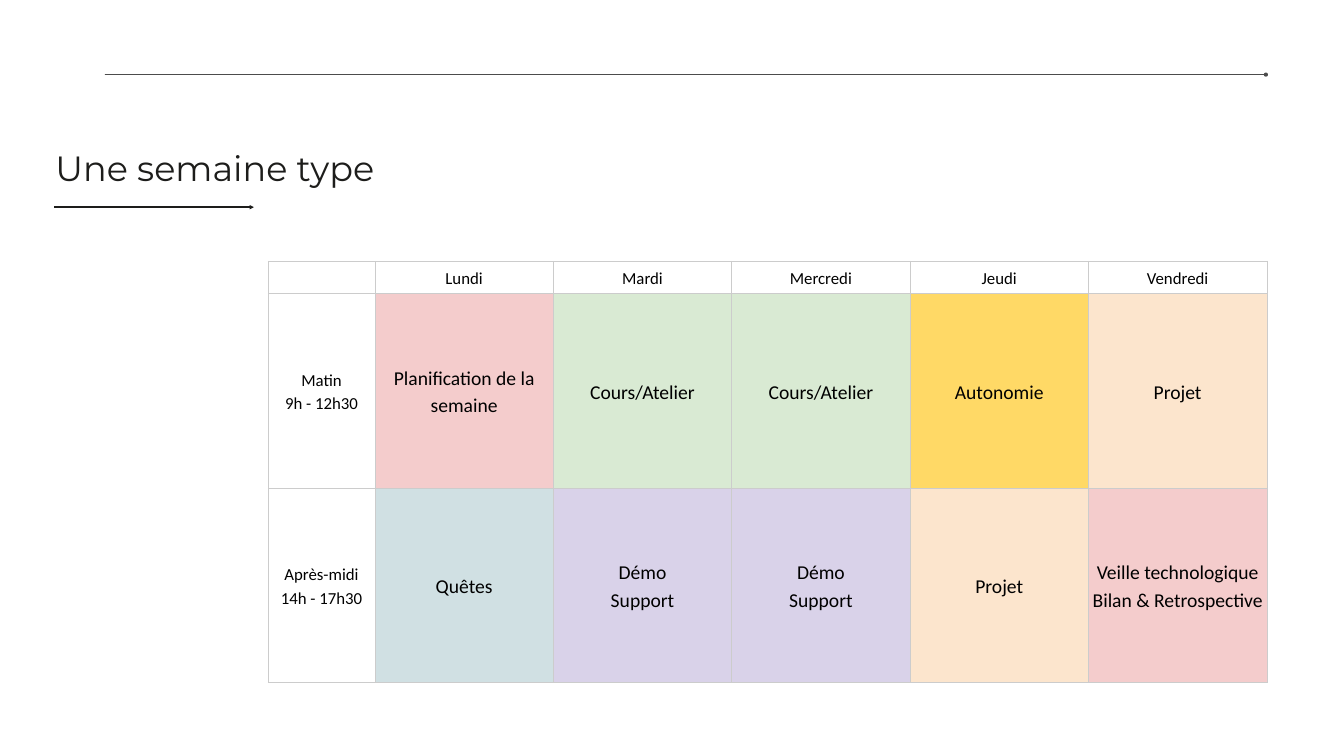
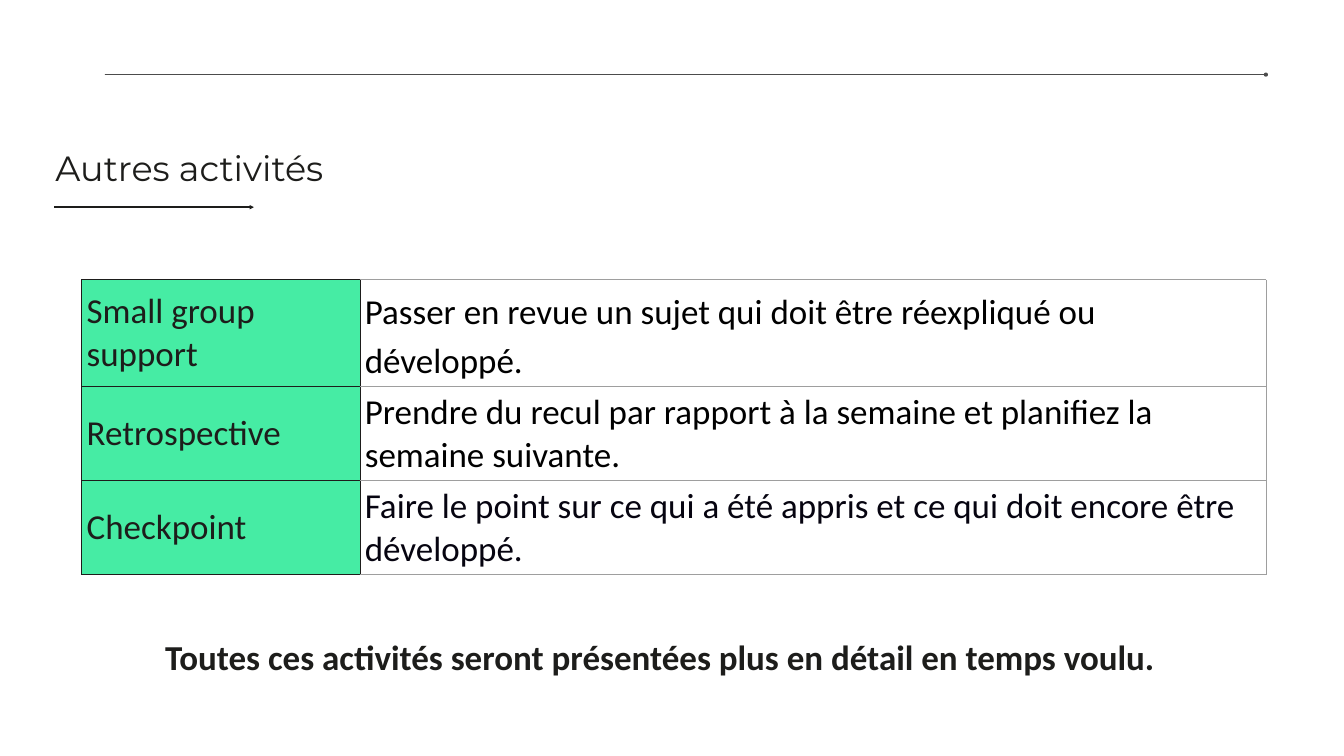
from lxml.etree import SubElement
from pptx import Presentation
from pptx.dml.color import RGBColor
from pptx.enum.shapes import MSO_CONNECTOR
from pptx.enum.text import MSO_ANCHOR as Anchor, MSO_AUTO_SIZE as Fit, PP_ALIGN as Align
from pptx.oxml import parse_xml
from pptx.oxml.ns import nsdecls, qn
from pptx.util import Inches, Pt

INK = RGBColor(0x1D, 0x1D, 0x1B)
BLACK = RGBColor(0, 0, 0)
NIGHT = RGBColor(0x06, 0x04, 0x10)
WHITE = RGBColor(255, 255, 255)
GREEN = RGBColor(0x46, 0xEC, 0xA4)
SILVER = RGBColor(0xCC, 0xCC, 0xCC)
GRAY = RGBColor(0x9E, 0x9E, 0x9E)
PINK = RGBColor(0xF4, 0xCC, 0xCC)
MINT = RGBColor(0xD9, 0xEA, 0xD3)
GOLD = RGBColor(0xFF, 0xD9, 0x66)
PEACH = RGBColor(0xFC, 0xE5, 0xCD)
TEAL = RGBColor(0xD0, 0xE0, 0xE3)
LILAC = RGBColor(0xD9, 0xD2, 0xE9)

HEAD, BODY = "Montserrat", "Calibri"
RIGHT = 25.12

DAYS = ["Lundi", "Mardi", "Mercredi", "Jeudi", "Vendredi"]
WEEK = [
    ("Matin\n9h - 12h30", [
        ("Planification de la semaine", PINK), ("Cours/Atelier", MINT),
        ("Cours/Atelier", MINT), ("Autonomie", GOLD), ("Projet", PEACH)]),
    ("Après-midi\n14h - 17h30", [
        ("Quêtes", TEAL), ("Démo\nSupport", LILAC), ("Démo\nSupport", LILAC),
        ("Projet", PEACH), ("Veille technologique\nBilan & Retrospective", PINK)]),
]
TASKS = [
    ("Small group support",
     "Passer en revue un sujet qui doit être réexpliqué ou développé.", BLACK, 1.15),
    ("Retrospective",
     "Prendre du recul par rapport à la semaine et planifiez la semaine suivante.", BLACK, None),
    ("Checkpoint",
     "Faire le point sur ce qui a été appris et ce qui doit encore être développé.", NIGHT, None),
]


def write(frame, text, size, color, font=BODY, bold=False, align=None, space=None):
    """Fill a text frame, one paragraph for each line of text."""
    frame.text = text
    for para in frame.paragraphs:
        para.alignment = align
        para.line_spacing = space
        para.font.size = Pt(size)
        para.font.name = font
        para.font.bold = bold
        para.font.color.rgb = color


def add_text(slide, box, text, pad, anchor=Anchor.TOP, **style):
    frame = slide.shapes.add_textbox(*map(Inches, box)).text_frame
    frame.word_wrap = True
    frame.auto_size = Fit.SHAPE_TO_FIT_TEXT
    frame.vertical_anchor = anchor
    frame.margin_left = frame.margin_right = Inches(pad)
    frame.margin_top = frame.margin_bottom = Inches(pad)
    write(frame, text, **style)


def add_rule(slide, left, right, top, color, width, tip, alpha=None):
    """Draw a level line with a tip at its right end."""
    rule = slide.shapes.add_connector(
        MSO_CONNECTOR.STRAIGHT, Inches(left), Inches(top), Inches(right), Inches(top))
    rule.line.color.rgb = color
    rule.line.width = Pt(width)
    line = rule.line._get_or_add_ln()
    if alpha:
        tint = line.find(".//" + qn("a:srgbClr"))
        SubElement(tint, qn("a:alpha")).set("val", str(alpha * 1000))
    SubElement(line, qn("a:tailEnd")).set("type", tip)
    SubElement(rule._element.spPr, qn("a:effectLst"))


def add_frame(slide, title, width):
    """Place the title and the two rules that every slide has."""
    add_rule(slide, 1.08, 5.04, 4.11, INK, 2, "triangle")
    add_text(slide, (1.04, 2.85, width, 0.95), title, 0.06, Anchor.MIDDLE,
             size=50, color=INK, font=HEAD)
    add_rule(slide, 2.08, RIGHT, 1.48, BLACK, 1, "oval", 70)


def add_grid(slide, left, top, cols, rows):
    shape = slide.shapes.add_table(len(rows), len(cols), Inches(left), Inches(top),
                                   Inches(sum(cols)), Inches(sum(rows)))
    grid = shape.table
    grid.first_row = grid.horz_banding = False
    for col, width in zip(grid.columns, cols):
        col.width = Inches(width)
    for row, height in zip(grid.rows, rows):
        row.height = Inches(height)
    return grid


def set_cell(cell, text, fill, edges, pad, **style):
    """Style a cell; edges holds the left, right, top and bottom colours."""
    cell.vertical_anchor = Anchor.MIDDLE
    cell.margin_left = cell.margin_right = Inches(pad[0])
    cell.margin_top = cell.margin_bottom = Inches(pad[1])
    if fill is None:
        cell.fill.background()
    else:
        cell.fill.solid()
        cell.fill.fore_color.rgb = fill
    props = cell._tc.get_or_add_tcPr()
    for spot, (side, color) in enumerate(zip("LRTB", edges)):
        props.insert(spot, parse_xml(
            f'<a:ln{side} {nsdecls("a")} w="{Pt(0.75)}"><a:solidFill>'
            f'<a:srgbClr val="{color}"/></a:solidFill></a:ln{side}>'))
    write(cell.text_frame, text, **style)


def week_slide(slide):
    add_frame(slide, "Une semaine type", 11.18)
    grid = add_grid(slide, 5.32, 5.18, [2.12] + [3.54] * 5, [0.64, 3.86, 3.86])
    table = [[(day, None) for day in [""] + DAYS]]
    table += [[(time, None)] + plan for time, plan in WEEK]
    for y, row in enumerate(table):
        for x, (text, fill) in enumerate(row):
            set_cell(grid.cell(y, x), text, fill, [SILVER] * 4, (0.03, 0.02),
                     size=28 if fill else 24, color=BLACK, align=Align.CENTER, space=1.15)


def task_slide(slide):
    add_frame(slide, "Autres activités", 7.81)
    grid = add_grid(slide, 1.62, 5.55, [5.52, 17.98], [1.45, 1.52, 1.45])
    for y, (name, text, color, space) in enumerate(TASKS):
        set_cell(grid.cell(y, 0), name, GREEN, [INK] * 4, (0.1, 0.1), size=50, color=INK)
        set_cell(grid.cell(y, 1), text, WHITE, [INK, GRAY, GRAY, GRAY], (0.1, 0.1),
                 size=50, color=color, space=space)
    add_text(slide, (1.72, 12.5, 22.77, 1.04),
             "Toutes ces activités seront présentées plus en détail en temps voulu.",
             0.1, size=50, color=INK, bold=True, align=Align.CENTER)


def main():
    deck = Presentation()
    deck.slide_width, deck.slide_height = Inches(26.67), Inches(15)
    for build in (week_slide, task_slide):
        build(deck.slides.add_slide(deck.slide_layouts[6]))
    deck.save("out.pptx")


if __name__ == "__main__":
    main()
